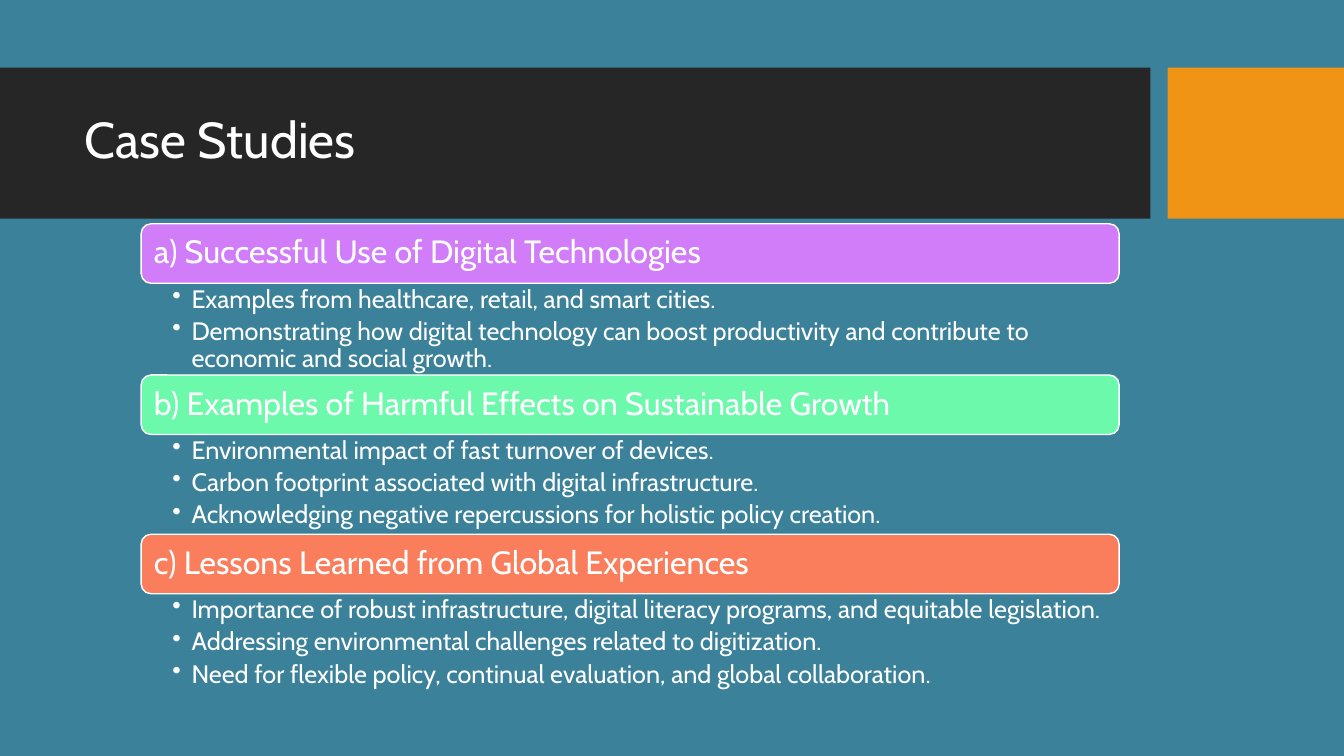
from pptx import Presentation
from pptx.dml.color import RGBColor
from pptx.enum.shapes import MSO_SHAPE as Shape
from pptx.enum.text import MSO_ANCHOR as Anchor, MSO_AUTO_SIZE as AutoSize, PP_ALIGN as Align
from pptx.oxml.ns import qn
from pptx.util import Inches, Pt
from lxml.etree import SubElement

FONT = "Cabin"
COLORS = {
    "background": "3A8199",
    "band": "262626",
    "accent": "F09415",
    "text": "FFFFFF",
    "purple": "D17DF9",
    "green": "6DF9AB",
    "coral": "FA7E5C",
}
LEFT, WIDTH, HEADER_HEIGHT = 1.4, 9.7, 0.59
SECTIONS = [
    (2.22, 0.91, "purple", "a) Successful Use of Digital Technologies", [
        "Examples from healthcare, retail, and smart cities.",
        "Demonstrating how digital technology can boost productivity and contribute to "
        "economic and social growth.",
    ]),
    (3.72, 0.99, "green", "b) Examples of Harmful Effects on Sustainable Growth", [
        "Environmental impact of fast turnover of devices.",
        "Carbon footprint associated with digital infrastructure.",
        "Acknowledging negative repercussions for holistic policy creation.",
    ]),
    (5.3, 1.56, "coral", "c) Lessons Learned from Global Experiences", [
        "Importance of robust infrastructure, digital literacy programs, and equitable legislation.",
        "Addressing environmental challenges related to digitization.",
        "Need for flexible policy, continual evaluation, and global collaboration.",
    ]),
]


def color(name):
    return RGBColor.from_string(COLORS[name])


def set_frame(frame, anchor, left, top, right, bottom):
    frame.word_wrap = True
    frame.auto_size = AutoSize.NONE
    frame.vertical_anchor = anchor
    frame.margin_left, frame.margin_top = Inches(left), Inches(top)
    frame.margin_right, frame.margin_bottom = Inches(right), Inches(bottom)


def write(para, text, size):
    para.alignment = Align.LEFT
    para.line_spacing = 0.9
    span = para.add_run()
    span.text = text
    span.font.name = FONT
    span.font.size = Pt(size)
    span.font.color.rgb = color("text")


def add_block(page, kind, left, top, width, height, fill):
    block = page.shapes.add_shape(kind, Inches(left), Inches(top), Inches(width), Inches(height))
    block.shadow.inherit = False
    block.fill.solid()
    block.fill.fore_color.rgb = color(fill)
    block.line.fill.background()
    return block


def add_title(page, text):
    title = page.shapes.title
    title.element.getparent().append(title.element)
    title.left, title.top = Inches(0.74), Inches(0.82)
    title.width, title.height = Inches(10.51), Inches(1.18)
    set_frame(title.text_frame, Anchor.MIDDLE, 0.1, 0.05, 0.1, 0.05)
    write(title.text_frame.paragraphs[0], text, 36)


def add_header(page, top, fill, text):
    header = add_block(page, Shape.ROUNDED_RECTANGLE, LEFT, top, WIDTH, HEADER_HEIGHT, fill)
    header.line.color.rgb = color("text")
    header.line.width = Pt(1)
    set_frame(header.text_frame, Anchor.MIDDLE, 0.1, 0.1, 0.1, 0.1)
    write(header.text_frame.paragraphs[0], text, 23)


def add_bullets(page, top, height, items):
    box = page.shapes.add_textbox(Inches(LEFT), Inches(top), Inches(WIDTH), Inches(height))
    frame = box.text_frame
    set_frame(frame, Anchor.TOP, 0.31, 0.03, 0.18, 0.03)
    for index, item in enumerate(items):
        para = frame.add_paragraph() if index else frame.paragraphs[0]
        write(para, item, 18)
        para.space_after = Pt(3.6)
        para.level = 1
        properties = para._p.get_or_add_pPr()
        properties.set("marL", str(Inches(0.19)))
        properties.set("indent", str(-Inches(0.19)))
        SubElement(properties, qn("a:buChar")).set("char", "•")


def main():
    deck = Presentation()
    deck.slide_width, deck.slide_height = Inches(13.33), Inches(7.5)
    page = deck.slides.add_slide(deck.slide_layouts[5])
    page.background.fill.solid()
    page.background.fill.fore_color.rgb = color("background")

    add_block(page, Shape.RECTANGLE, 0, 0.67, 11.41, 1.5, "band")
    add_block(page, Shape.RECTANGLE, 11.58, 0.67, 1.75, 1.5, "accent")
    add_title(page, "Case Studies")
    for top, height, fill, heading, items in SECTIONS:
        add_header(page, top, fill, heading)
        add_bullets(page, top + HEADER_HEIGHT, height, items)

    deck.save("out.pptx")


if __name__ == "__main__":
    main()
